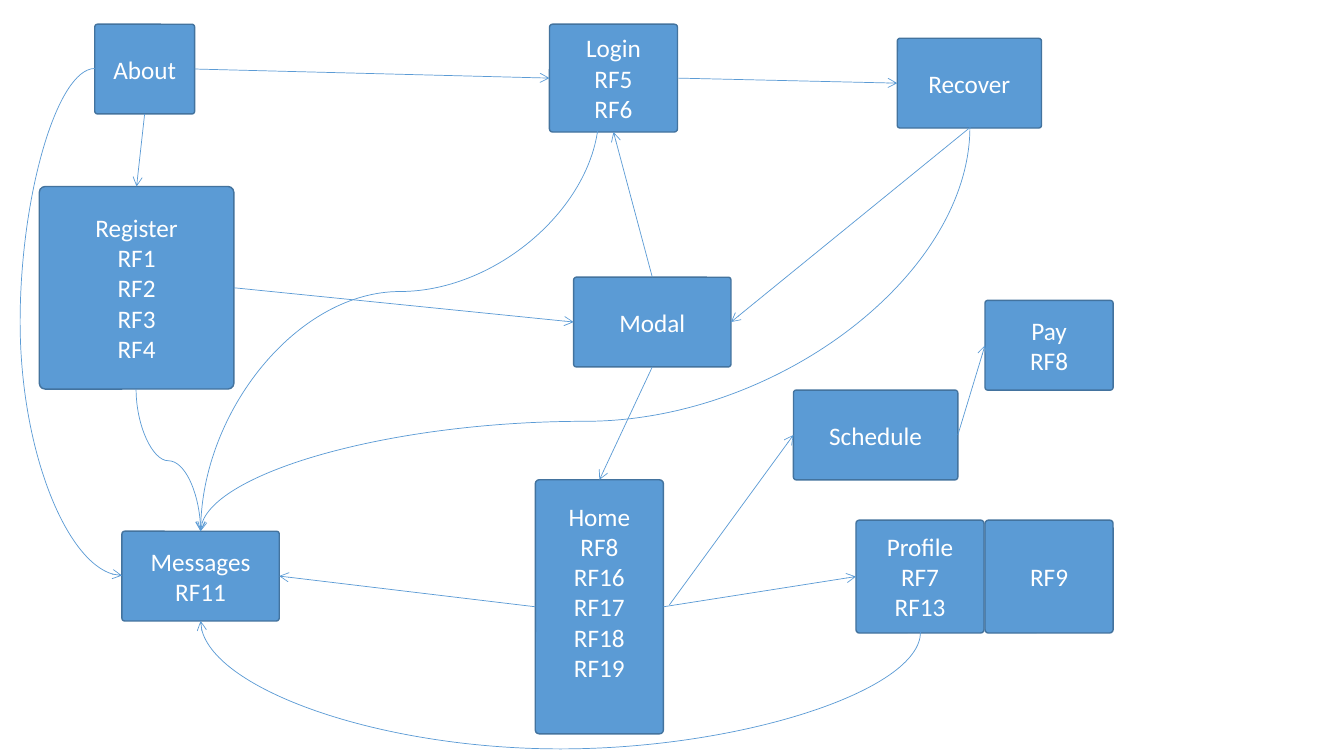
from pptx import Presentation
from pptx.dml.color import RGBColor
from pptx.enum.shapes import MSO_CONNECTOR, MSO_SHAPE
from pptx.enum.text import MSO_ANCHOR, PP_ALIGN
from pptx.oxml.ns import qn
from pptx.util import Inches, Pt
from lxml import etree

ROUNDED = MSO_SHAPE.ROUNDED_RECTANGLE
STRAIGHT = MSO_CONNECTOR.STRAIGHT
CURVE = MSO_CONNECTOR.CURVE
MIDDLE = MSO_ANCHOR.MIDDLE
CENTER = PP_ALIGN.CENTER
TOP, LEFT, BOTTOM, RIGHT = range(4)
QUARTER_TURN = "5400000"

COLORS = {"fill": "5B9BD5", "border": "43739E", "text": "FFFFFF"}

BOXES = {
    "About": (0.94, 0.24, 0.99, 0.89, []),
    "Messages": (1.21, 5.27, 1.56, 0.89, ["RF11"]),
    "Login": (5.45, 0.24, 1.27, 1.07, ["RF5", "RF6"]),
    "Register": (0.39, 1.85, 1.93, 2.01, ["RF1", "RF2", "RF3", "RF4"]),
    "Home": (5.31, 4.76, 1.27, 2.52, ["RF8", "RF16", "RF17", "RF18", "RF19"]),
    "Profile": (8.49, 5.16, 1.27, 1.12, ["RF7", "RF13"]),
    "RF9": (9.77, 5.16, 1.27, 1.12, []),
    "Pay": (9.77, 2.98, 1.27, 0.89, ["RF8"]),
    "Recover": (8.9, 0.38, 1.43, 0.89, []),
    "Modal": (5.69, 2.75, 1.56, 0.89, []),
    "Schedule": (7.87, 3.87, 1.63, 0.89, []),
}

ARROWS = [
    ("About", RIGHT, "Login", LEFT),
    ("About", BOTTOM, "Register", TOP),
    ("Login", RIGHT, "Recover", LEFT),
    ("Recover", BOTTOM, "Modal", RIGHT),
    ("Modal", TOP, "Login", BOTTOM),
    ("Register", RIGHT, "Modal", LEFT),
    ("Modal", BOTTOM, "Home", TOP),
    ("Home", RIGHT, "Profile", LEFT),
    ("Home", LEFT, "Messages", RIGHT),
    ("Schedule", RIGHT, "Pay", LEFT),
]

VERTICAL_CURVES = [
    ((1.35, 3.86), (1.99, 5.27), 4.57),
    ((5.94, 1.12), (1.99, 5.27), 2.89),
]

WIDE_CURVES = [
    ((9.13, 6.27), (1.99, 6.16), 7.43),
    ((9.62, 1.26), (1.99, 5.27), 4.18),
]


class FlowSlide:
    font = "Calibri"
    size = Pt(18)

    def __init__(self, slide):
        self.shapes = slide.shapes
        self.boxes = {}

    def box(self, name, left, top, width, height, requirements):
        box = self.shapes.add_shape(
            ROUNDED, Inches(left), Inches(top), Inches(width), Inches(height))
        box.adjustments[0] = 0.03
        box.shadow.inherit = False
        box.fill.solid()
        box.fill.fore_color.rgb = RGBColor.from_string(COLORS["fill"])
        box.line.color.rgb = RGBColor.from_string(COLORS["border"])
        box.line.width = Pt(1)
        frame = box.text_frame
        frame.word_wrap = True
        frame.vertical_anchor = MIDDLE
        frame.text = "\n".join([name] + requirements)
        for para in frame.paragraphs:
            para.alignment = CENTER
            for span in para.runs:
                span.font.name = self.font
                span.font.size = self.size
                span.font.color.rgb = RGBColor.from_string(COLORS["text"])
        self.boxes[name] = box

    def style_arrow(self, shape):
        shape.line.color.rgb = RGBColor.from_string(COLORS["fill"])
        shape.line.width = Pt(0.5)
        properties = shape._element.spPr
        outline = properties.find(qn("a:ln"))
        etree.SubElement(outline, qn("a:tailEnd"), type="arrow")
        etree.SubElement(properties, qn("a:effectLst"))

    def connector(self, kind, start, end):
        points = [Inches(value) for value in (*start, *end)]
        connector = self.shapes.add_connector(kind, *points)
        self.style_arrow(connector)
        return connector

    def arrow(self, source, source_side, target, target_side):
        connector = self.connector(STRAIGHT, (0, 0), (1, 1))
        connector.begin_connect(self.boxes[source], source_side)
        connector.end_connect(self.boxes[target], target_side)

    def curve(self, start, end, bend, vertical=False):
        axis = 1 if vertical else 0
        ratio = (bend - start[axis]) / (end[axis] - start[axis])
        if vertical:
            middle_x, middle_y = ((a + b) / 2 for a, b in zip(start, end))
            half_x, half_y = ((b - a) / 2 for a, b in zip(start, end))
            start = (middle_x - half_y, middle_y + half_x)
            end = (middle_x + half_y, middle_y - half_x)
        connector = self.connector(CURVE, start, end)
        properties = connector._element.spPr
        if vertical:
            properties.find(qn("a:xfrm")).set("rot", QUARTER_TURN)
        adjustments = properties.find(qn("a:prstGeom")).find(qn("a:avLst"))
        etree.SubElement(adjustments, qn("a:gd"), name="adj1",
                         fmla=f"val {round(ratio * 100000)}")

    def wide_curve(self, start, end, bend):
        middle = (start[0] + end[0]) / 2
        points = [
            (start[0], (start[1] + bend) / 2),
            ((start[0] + middle) / 2, bend),
            (middle, bend),
            ((middle + end[0]) / 2, bend),
            (end[0], (bend + end[1]) / 2),
            end,
        ]
        builder = self.shapes.build_freeform(
            Inches(start[0]), Inches(start[1]))
        builder.add_line_segments(
            [(Inches(x), Inches(y)) for x, y in points], close=False)
        shape = builder.convert_to_shape()
        shape.fill.background()
        self.style_arrow(shape)
        segments = list(shape._element.iter(qn("a:lnTo")))
        outline = segments[0].getparent()
        for first in range(0, len(segments), 3):
            bezier = etree.SubElement(outline, qn("a:cubicBezTo"))
            for segment in segments[first:first + 3]:
                bezier.append(segment[0])
                outline.remove(segment)


def main():
    deck = Presentation()
    deck.slide_width = Inches(13.33)
    deck.slide_height = Inches(7.5)
    page = FlowSlide(deck.slides.add_slide(deck.slide_layouts[6]))
    for name, details in BOXES.items():
        page.box(name, *details)
    page.boxes["Home"].text_frame.margin_bottom = Inches(0.35)
    for arrow in ARROWS:
        page.arrow(*arrow)
    schedule_arrow = page.connector(STRAIGHT, (6.64, 6), (7.87, 4.31))
    schedule_arrow.end_connect(page.boxes["Schedule"], LEFT)
    page.curve((0.94, 0.68), (1.21, 5.71), 0.2)
    for start, end, bend in VERTICAL_CURVES:
        page.curve(start, end, bend, vertical=True)
    for start, end, bend in WIDE_CURVES:
        page.wide_curve(start, end, bend)
    deck.save("out.pptx")


if __name__ == "__main__":
    main()
